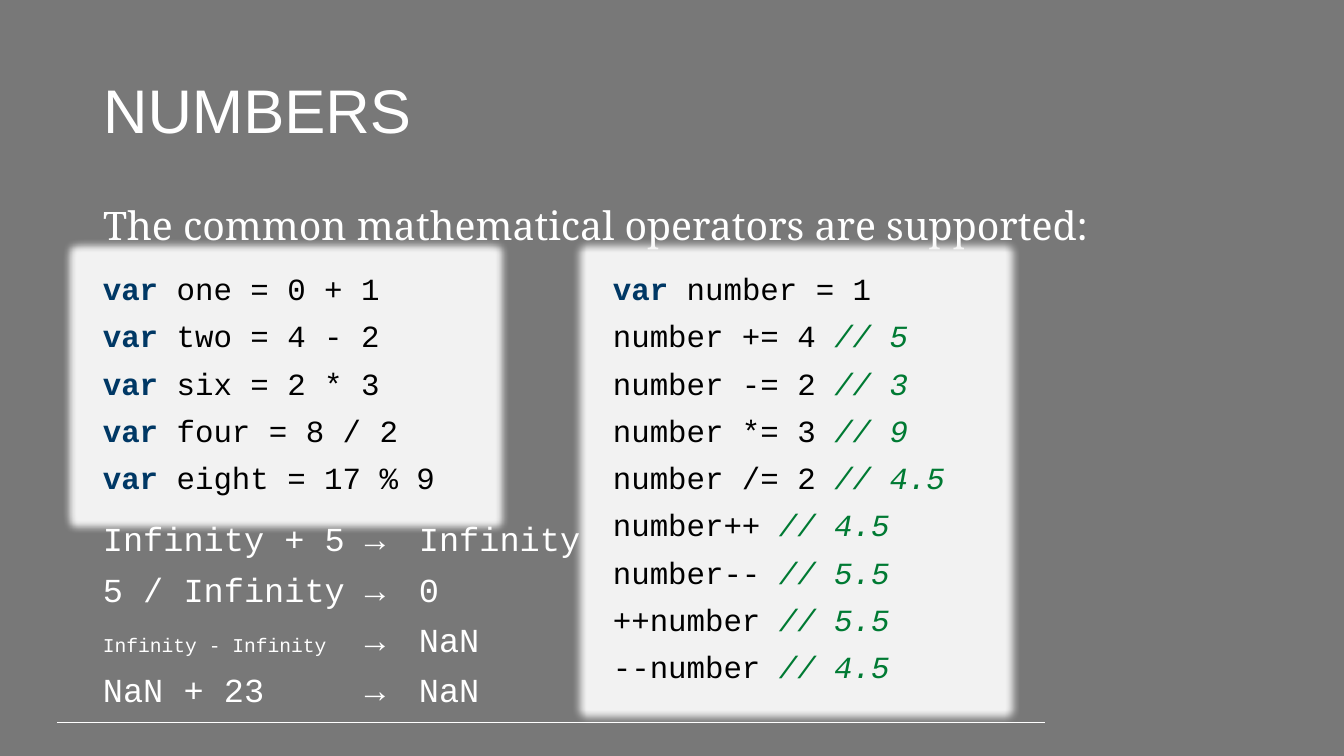
from lxml import etree
from pptx import Presentation
from pptx.dml.color import RGBColor
from pptx.enum import shapes, text
from pptx.oxml.ns import qn
from pptx.util import Pt

# Content
TITLE = "NUMBERS"
INTRO = "The common mathematical operators are supported:"
DECLARATIONS = [("one", "0 + 1"), ("two", "4 - 2"), ("six", "2 * 3"),
                ("four", "8 / 2"), ("eight", "17 % 9")]
UPDATES = [("number += 4", "5"), ("number -= 2", "3"), ("number *= 3", "9"),
           ("number /= 2", "4.5"), ("number++", "4.5"), ("number--", "5.5"),
           ("++number", "5.5"), ("--number", "4.5")]
SPECIAL_SUMS = [("Infinity + 5", "Infinity", 24), ("5 / Infinity", "0", 24),
                ("Infinity - Infinity", "NaN", 14), ("NaN + 23", "NaN", 24)]

# Formats
COLORS = {"background": "787878", "light": "FFFFFF", "panel": "F2F2F2",
          "code": "000000", "keyword": "003865", "comment": "007A33"}
HEADING = {"name": "Arial", "size": 44, "color": "light"}
PROSE = {"name": "Noto Serif", "size": 28, "color": "light"}
CODE = {"name": "Courier New", "size": 22, "color": "code"}
KEYWORD = {**CODE, "color": "keyword", "bold": True}
COMMENT = {**CODE, "color": "comment", "italic": True}
RESULT = {**CODE, "size": 24, "color": "light"}

# Layout in pixels
SCALE = 9071.43  # EMU per pixel
WIDTH, HEIGHT = 1344, 756
LEFT, TEXT_WIDTH = 93, 1159
PANEL_TOP, PANEL_WIDTH = 269, 387
SUMS_TOP, SUMS_HEIGHT = 518, 200
GLOW = 15


def px(value):
    return round(value * SCALE)


def color(name):
    return RGBColor.from_string(COLORS[name])


def write(shape, lines, anchor=text.MSO_ANCHOR.TOP, before=10):
    """Fill a shape with lines, each a list of (wording, format) runs."""
    frame = shape.text_frame
    for name, value in {"word_wrap": True, "vertical_anchor": anchor,
                        "auto_size": text.MSO_AUTO_SIZE.NONE}.items():
        setattr(frame, name, value)
    for index, runs in enumerate(lines):
        paragraph = frame.add_paragraph() if index else frame.paragraphs[0]
        paragraph.alignment = text.PP_ALIGN.LEFT
        paragraph.line_spacing = 0.9
        paragraph.space_before = Pt(before)
        properties = paragraph._p.get_or_add_pPr()
        properties.set("marL", "0")
        properties.set("indent", "0")
        etree.SubElement(properties, qn("a:buNone"))
        for wording, style in runs:
            run = paragraph.add_run()
            run.text = wording
            for name, value in style.items():
                if name == "color":
                    run.font.color.rgb = color(value)
                else:
                    setattr(run.font, name, Pt(value) if name == "size" else value)


def place(shape, *box):
    for name, value in zip(("left", "top", "width", "height"), box):
        setattr(shape, name, px(value))


def add_panel(slide, left, height, lines):
    """Code panel with a glow in its own fill colour."""
    box = map(px, (left, PANEL_TOP, PANEL_WIDTH, height))
    panel = slide.shapes.add_shape(shapes.MSO_SHAPE.RECTANGLE, *box)
    panel.shadow.inherit = False
    panel.fill.solid()
    panel.fill.fore_color.rgb = color("panel")
    panel.line.fill.background()
    effects = panel._element.spPr.find(qn("a:effectLst"))
    glow = etree.SubElement(effects, qn("a:glow"), rad=str(px(GLOW)))
    etree.SubElement(glow, qn("a:srgbClr"), val=COLORS["panel"])
    write(panel, lines)


def add_column(slide, left, width, lines):
    box = map(px, (left, SUMS_TOP, width, SUMS_HEIGHT))
    write(slide.shapes.add_textbox(*box), lines)


presentation = Presentation()
presentation.slide_width, presentation.slide_height = px(WIDTH), px(HEIGHT)
slide = presentation.slides.add_slide(presentation.slide_layouts[1])
slide.background.fill.solid()
slide.background.fill.fore_color.rgb = color("background")

# Footer rule
rule = slide.shapes.add_connector(shapes.MSO_CONNECTOR.STRAIGHT,
                                  *map(px, (57, 723, 1045, 723)))
rule.line.color.rgb = color("light")
rule.line.width = Pt(0.75)
etree.SubElement(rule._element.spPr, qn("a:effectLst"))

# Title and introduction
title, intro = slide.placeholders
place(title, LEFT, 41, TEXT_WIDTH, 146)
write(title, [[(TITLE, HEADING)]], text.MSO_ANCHOR.MIDDLE, before=0)
place(intro, LEFT, 202, TEXT_WIDTH, 54)
write(intro, [[(INTRO, PROSE)]])

# Code panels
add_panel(slide, LEFT, 235, [[("var", KEYWORD), (f" {name} = {value}", CODE)]
                             for name, value in DECLARATIONS])
add_panel(slide, 603, 425, [[("var", KEYWORD), (" number = 1", CODE)]]
          + [[(f"{statement} ", CODE), (f"// {value}", COMMENT)]
             for statement, value in UPDATES])

# Sums, arrows and results; the closing space keeps every row equally tall
add_column(slide, LEFT, 290, [[(addition, {**RESULT, "size": size}), (" ", RESULT)]
                              for addition, _, size in SPECIAL_SUMS])
add_column(slide, 355, 54, [[("→", RESULT)] for _ in SPECIAL_SUMS])
add_column(slide, 409, 184, [[(result, RESULT)] for _, result, _ in SPECIAL_SUMS])

presentation.save("out.pptx")
